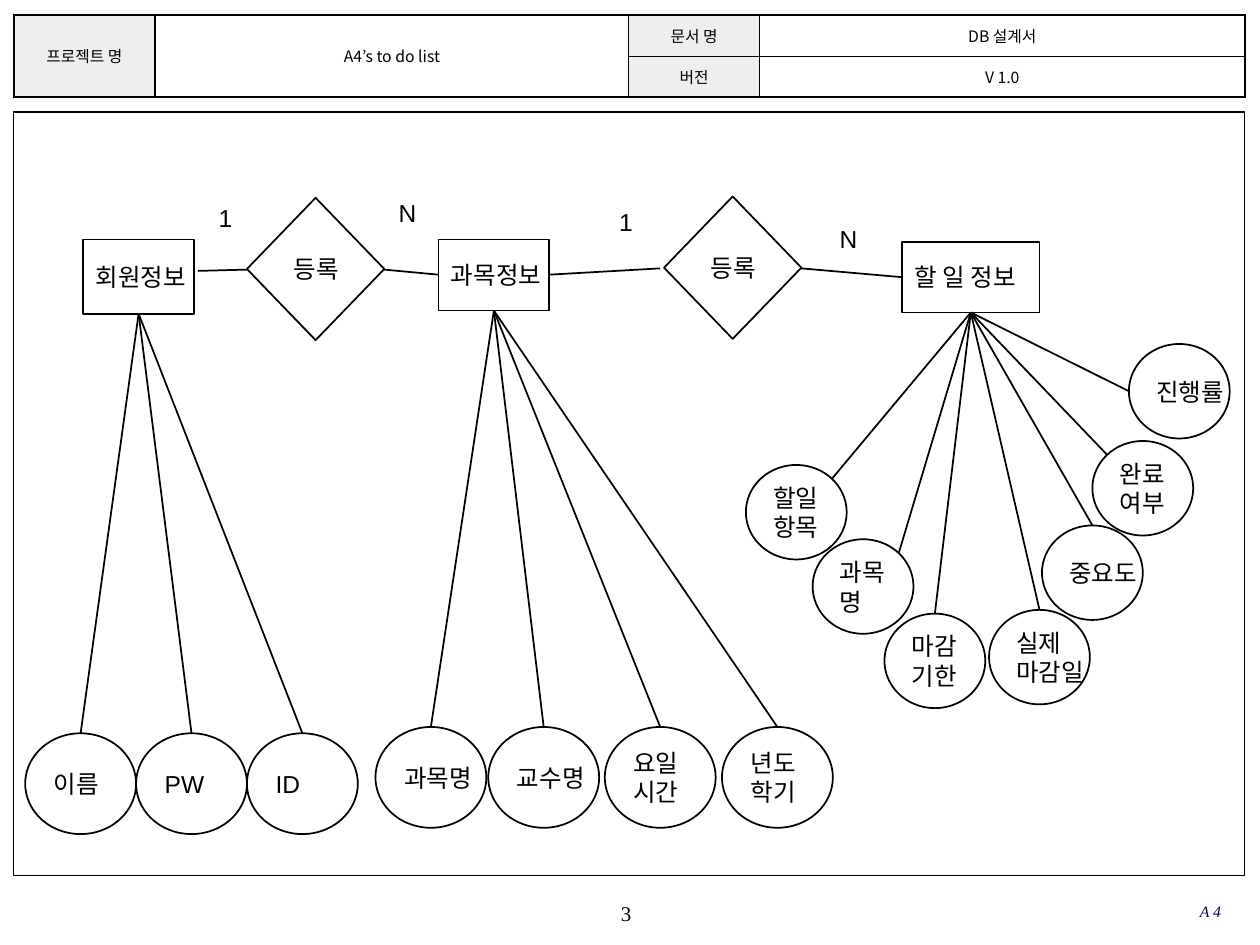
from lxml.etree import SubElement
from pptx import Presentation
from pptx.dml.color import RGBColor
from pptx.enum.shapes import MSO_CONNECTOR as Connector, MSO_SHAPE as Shape
from pptx.enum.text import MSO_ANCHOR as Anchor, MSO_AUTO_SIZE as AutoSize, PP_ALIGN as Align
from pptx.oxml.ns import qn
from pptx.util import Pt

BLACK = RGBColor(0, 0, 0)
WHITE = RGBColor(255, 255, 255)
HEADER_GREY = RGBColor(0xEE, 0xEE, 0xEE)
NAVY = RGBColor(0, 0, 0x66)

COLUMNS, ROWS = 100, 75  # square grid over the slide
UNIT = 91440

# Connection points as shares of a shape's width and height
DIAGONAL = 0.146
TOP, LEFT, BOTTOM = (0.5, 0), (0, 0.5), (0.5, 1)
TOP_LEFT, TOP_RIGHT = (DIAGONAL, DIAGONAL), (1 - DIAGONAL, DIAGONAL)

# Entity: name, place, attribute size, attributes (name, left, top, connection point)
ENTITIES = [
    ("회원정보", (6.6, 19, 8.8, 5.9), (8.8, 8), [
        ("이름", 2, 58.2, TOP),
        ("PW", 10.8, 58.2, TOP),
        ("ID", 19.6, 58.2, TOP),
    ]),
    ("과목정보", (34.8, 19, 8.8, 5.65), (8.8, 8), [
        ("과목명", 29.8, 57.7, TOP),
        ("교수명", 38.75, 57.7, TOP),
        ("요일\n시간", 48, 57.7, TOP),
        ("년도\n학기", 57.3, 57.7, TOP),
    ]),
    ("할 일 정보", (71.6, 19.2, 10.9, 5.6), (8, 7.5), [
        ("할일\n항목", 59.2, 36.9, TOP_RIGHT),
        ("과목\n명", 64.5, 42.8, TOP_RIGHT),
        ("실제\n마감일", 78.5, 48.4, TOP),
        ("중요도", 82.7, 41.7, TOP),
        ("마감\n기한", 70.2, 48.7, TOP),
        ("완료\n여부", 86.7, 35, TOP_LEFT),
        ("진행률", 89.6, 27.3, LEFT),
    ]),
]
RELATIONS = [(19.6, 15.7), (52.7, 15.6)]
LINKS = [
    ((15.7, 21.5), (19.6, 21.4)),
    ((30.5, 21.4), (34.8, 21.8)),
    ((43.6, 21.8), (52.4, 21.3)),
    ((63.6, 21.3), (71.6, 22)),
]
CARDINALITIES = [("1", 14.2, 15.6), ("N", 28.5, 15.2), ("1", 46, 15.9), ("N", 63.5, 17.3)]


def grid(*values):
    return [round(value * UNIT) for value in values]


def point_on(place, share):
    left, top, width, height = place
    return left + width * share[0], top + height * share[1]


class Diagram:
    """Holds the text style, line style and current slide."""

    font, size, line_width = "Arial", 14, 1

    def __init__(self, slide):
        self.slide = slide

    def set_text(self, frame, text, align=Align.LEFT, font=None, size=None, color=BLACK, italic=None):
        for index, words in enumerate(text.split("\n")):
            para = frame.add_paragraph() if index else frame.paragraphs[0]
            para.text = words
            para.alignment = align
            para.font.name = font or self.font
            para.font.size = Pt(size or self.size)
            para.font.color.rgb = color
            para.font.italic = italic

    def shape(self, kind, place, text=None, line_width=None):
        shape = self.slide.shapes.add_shape(kind, *grid(*place))
        shape.shadow.inherit = False
        shape.line.color.rgb = BLACK
        shape.line.width = Pt(line_width or self.line_width)
        if text is None:
            shape.fill.background()
            return
        shape.fill.solid()
        shape.fill.fore_color.rgb = WHITE
        shape.text_frame.word_wrap = False
        shape.text_frame.vertical_anchor = Anchor.MIDDLE
        self.set_text(shape.text_frame, text)

    def line(self, start, end):
        line = self.slide.shapes.add_connector(Connector.STRAIGHT, *grid(*start, *end))
        line.line.color.rgb = BLACK
        line.line.width = Pt(self.line_width)
        SubElement(line._element.spPr, qn("a:effectLst"))

    def entity(self, name, place, attribute_size, attributes):
        self.shape(Shape.RECTANGLE, place, name)
        for text, left, top, site in attributes:
            oval = (left, top, *attribute_size)
            self.shape(Shape.OVAL, oval, text)
            self.line(point_on(place, BOTTOM), point_on(oval, site))

    def cardinality(self, text, left, top):
        frame = self.slide.shapes.add_textbox(*grid(left, top, 6.7, 3.4)).text_frame
        frame.word_wrap = True
        frame.auto_size = AutoSize.SHAPE_TO_FIT_TEXT
        frame.margin_left, = grid(3.15)
        self.set_text(frame, text)

    def footer(self, place, text, **style):
        frame = self.slide.shapes.add_textbox(*grid(*place)).text_frame
        frame.word_wrap = True
        frame.vertical_anchor = Anchor.MIDDLE
        frame.margin_left = frame.margin_right = frame.margin_top = frame.margin_bottom = 0
        self.set_text(frame, text, font="Times New Roman", **style)

    def border(self, cell):
        properties = cell._tc.get_or_add_tcPr()
        for side in ("a:lnL", "a:lnR", "a:lnT", "a:lnB"):
            edge = SubElement(properties, qn(side), w=str(Pt(self.line_width)))
            fill = SubElement(edge, qn("a:solidFill"))
            SubElement(fill, qn("a:srgbClr"), val=str(BLACK))

    def header(self, place, widths, heights, rows):
        table = self.slide.shapes.add_table(len(rows), len(widths), *grid(*place)).table
        table.first_row = table.horz_banding = False
        for column, width in zip(table.columns, grid(*widths)):
            column.width = width
        for row, height in zip(table.rows, grid(*heights)):
            row.height = height
        for column in (0, 1):
            table.cell(0, column).merge(table.cell(1, column))
        for row, texts in enumerate(rows):
            for column, text in enumerate(texts):
                cell = table.cell(row, column)
                self.border(cell)
                if column % 2:
                    cell.fill.background()
                else:
                    cell.fill.solid()
                    cell.fill.fore_color.rgb = HEADER_GREY
                cell.vertical_anchor = Anchor.MIDDLE
                cell.margin_left, cell.margin_right, cell.margin_top, cell.margin_bottom = grid(
                    0.4, 0.4, 0.2, 0.2)
                if text:
                    self.set_text(cell.text_frame, text, Align.CENTER, "Noto Sans CJK KR", 9)


def main():
    deck = Presentation()
    deck.slide_width, deck.slide_height = grid(COLUMNS, ROWS)
    page = Diagram(deck.slides.add_slide(deck.slide_layouts[6]))

    page.footer((39.3, 70.8, 20.8, 3.3), "3", align=Align.CENTER, size=12)
    page.header((1.1, 1.2, 97.7, 6.5), (11.2, 37.6, 10.4, 38.5), (3.3, 3.2), [
        ("프로젝트 명", "A4’s to do list", "문서 명", "DB 설계서"),
        ("", "", "버전", "V 1.0"),
    ])
    page.shape(Shape.RECTANGLE, (1.1, 8.9, 97.7, 60.6), line_width=0.75)
    page.footer((66.3, 70.7, 30.6, 3.3), "A 4", align=Align.RIGHT, size=9, color=NAVY, italic=True)

    for entity in ENTITIES:
        page.entity(*entity)
    for left, top in RELATIONS:
        page.shape(Shape.DIAMOND, (left, top, 10.9, 11.3), "등록")
    for start, end in LINKS:
        page.line(start, end)
    for label in CARDINALITIES:
        page.cardinality(*label)

    deck.save("out.pptx")


if __name__ == "__main__":
    main()
